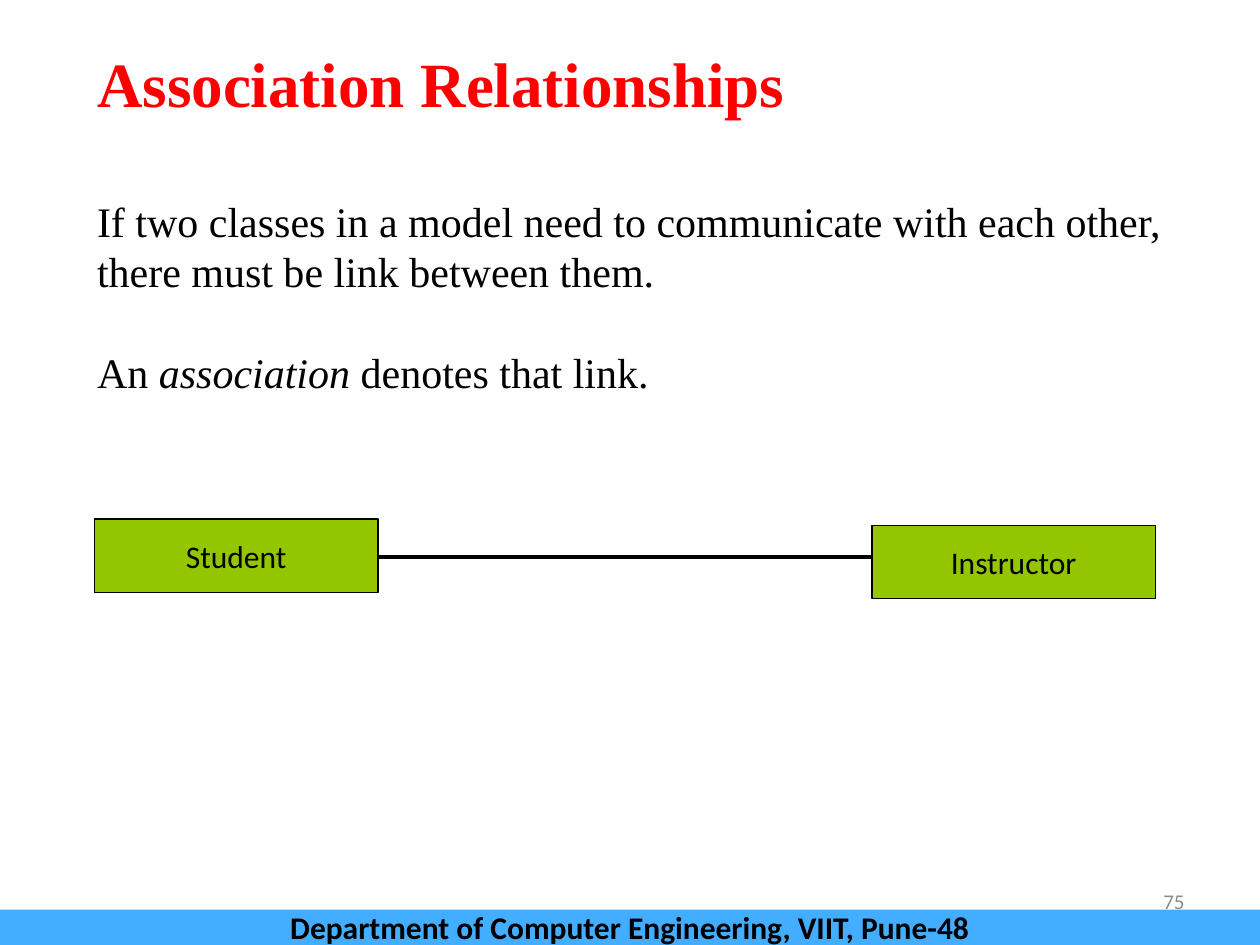
from lxml import etree
from pptx import Presentation
from pptx.dml.color import RGBColor
from pptx.enum.shapes import MSO_CONNECTOR, MSO_SHAPE
from pptx.enum.text import MSO_ANCHOR, MSO_AUTO_SIZE, PP_ALIGN
from pptx.oxml.ns import qn
from pptx.util import Inches, Pt

RECTANGLE = MSO_SHAPE.RECTANGLE
STRAIGHT = MSO_CONNECTOR.STRAIGHT
TOP, MIDDLE, BOTTOM = MSO_ANCHOR.TOP, MSO_ANCHOR.MIDDLE, MSO_ANCHOR.BOTTOM
LEFT, CENTER, RIGHT = PP_ALIGN.LEFT, PP_ALIGN.CENTER, PP_ALIGN.RIGHT
NO_AUTOFIT = MSO_AUTO_SIZE.NONE

SERIF, SANS = "Times New Roman", "Calibri"
BLACK, RED, GRAY, GREEN, BLUE = "000000", "FF0000", "8C8C8C", "94C600", "43AEFF"

TITLE = "Association Relationships"
BODY = [
    [("If two classes in a model need to communicate with each other, "
      "there must be link between them.", False)],
    [("An ", False), ("association", True), (" denotes that link.", False)],
]
CLASSES = [("Instructor", 6.92, 4.17), ("Student", 0.75, 4.12)]
CLASS_SIZE = (2.25, 0.58)
LINK = (3, 4.42, 7, 4.42)
PAGE_NUMBER = "75"
FOOTER = "Department of Computer Engineering, VIIT, Pune-48"
LINE_HEIGHT = 28.8


def color(value):
    return RGBColor.from_string(value)


def place(shape, left, top, width, height):
    shape.left, shape.top = Inches(left), Inches(top)
    shape.width, shape.height = Inches(width), Inches(height)


def format_frame(shape, anchor, wrap=True):
    frame = shape.text_frame
    frame.auto_size = NO_AUTOFIT
    frame.word_wrap = wrap
    frame.vertical_anchor = anchor
    return frame


def format_paragraph(paragraph, font_name, size, font_color, align, bold=False):
    paragraph.alignment = align
    font = paragraph.font
    font.name, font.size, font.bold = font_name, Pt(size), bold
    font.color.rgb = color(font_color)


def add_box(slide, text, box, fill, line=None, size=18, bold=False, wrap=True):
    shape = slide.shapes.add_shape(RECTANGLE, *map(Inches, box))
    shape.shadow.inherit = False
    shape.fill.solid()
    shape.fill.fore_color.rgb = color(fill)
    if line:
        shape.line.color.rgb = color(line)
        shape.line.width = Pt(0.75)
    else:
        shape.line.fill.background()
    frame = format_frame(shape, MIDDLE, wrap)
    frame.text = text
    format_paragraph(frame.paragraphs[0], SANS, size, BLACK, CENTER, bold)


def fill_title(slide):
    title = slide.shapes.title
    place(title, 0.67, 0.42, 8.58, 0.58)
    frame = format_frame(title, BOTTOM)
    frame.text = TITLE
    format_paragraph(frame.paragraphs[0], SERIF, 36, RED, LEFT, True)


def fill_body(slide):
    body = slide.placeholders[1]
    place(body, 0.67, 1.5, 8.87, 1.7)
    frame = format_frame(body, TOP)
    for index, runs in enumerate(BODY):
        paragraph = frame.add_paragraph() if index else frame.paragraphs[0]
        properties = paragraph._p.get_or_add_pPr()
        properties.set("marL", "0")
        properties.set("indent", "0")
        etree.SubElement(properties, qn("a:buNone"))
        paragraph.line_spacing = Pt(LINE_HEIGHT)
        paragraph.space_before = Pt(LINE_HEIGHT if index else 0)
        format_paragraph(paragraph, SERIF, 24, BLACK, LEFT)
        for text, italic in runs:
            run = paragraph.add_run()
            run.text = text
            if italic:
                run.font.italic = True


def add_link(slide):
    link = slide.shapes.add_connector(STRAIGHT, *map(Inches, LINK))
    link.line.color.rgb = color(BLACK)
    link.line.width = Pt(2.25)
    etree.SubElement(link._element.spPr, qn("a:effectLst"))


def add_page_number(slide):
    box = slide.shapes.add_textbox(*map(Inches, (7.17, 6.95, 2.33, 0.4)))
    frame = format_frame(box, MIDDLE)
    frame.text = PAGE_NUMBER
    format_paragraph(frame.paragraphs[0], SANS, 12, GRAY, RIGHT)


def main():
    presentation = Presentation()
    presentation.slide_width, presentation.slide_height = Inches(10), Inches(7.5)
    slide = presentation.slides.add_slide(presentation.slide_layouts[1])
    fill_title(slide)
    fill_body(slide)
    add_link(slide)
    for name, left, top in CLASSES:
        add_box(slide, name, (left, top, *CLASS_SIZE), GREEN, BLACK, wrap=False)
    add_page_number(slide)
    add_box(slide, FOOTER, (0, 7.22, 10, 0.28), BLUE, bold=True)
    presentation.save("out.pptx")


if __name__ == "__main__":
    main()
